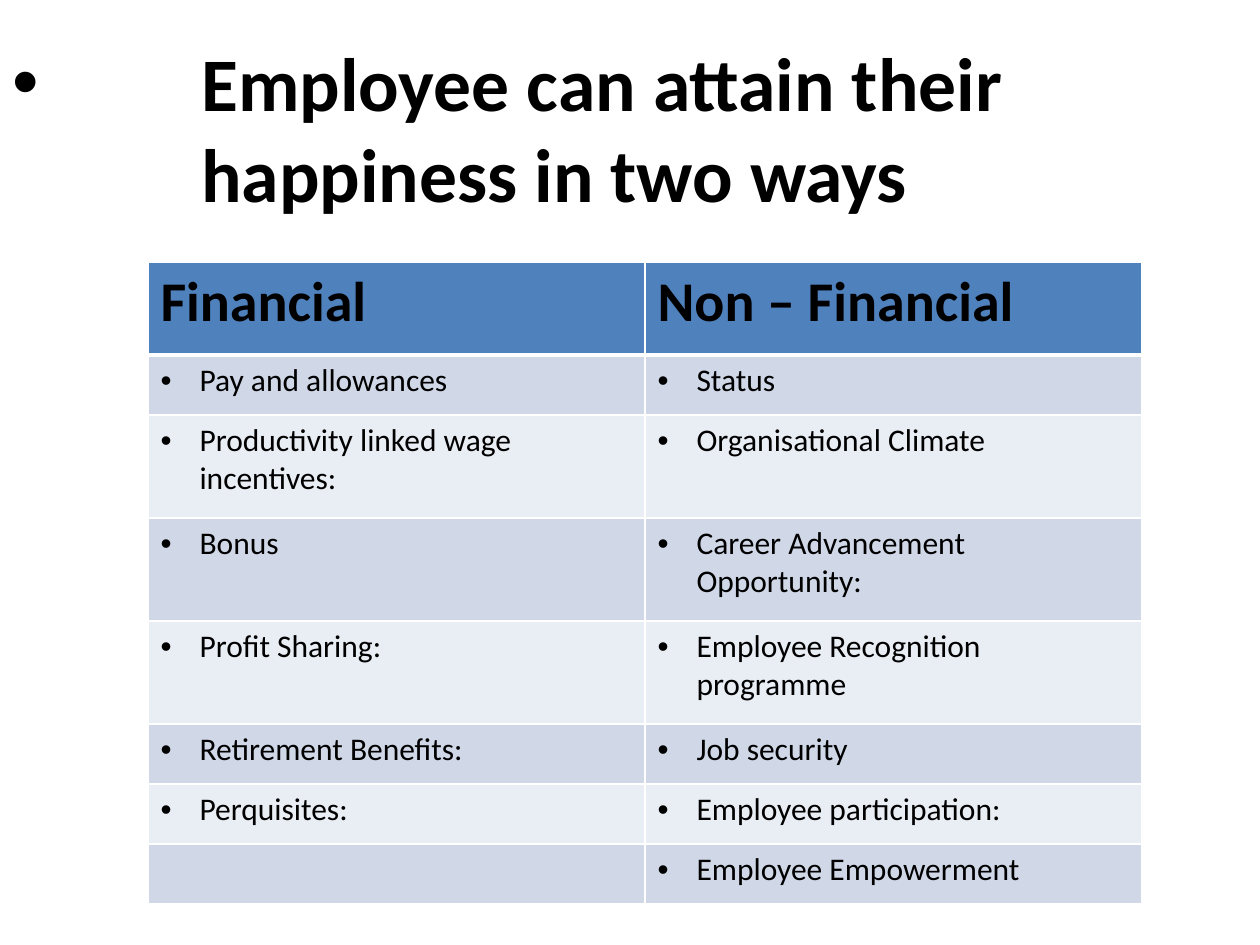
from lxml.etree import SubElement
from pptx import Presentation
from pptx.dml.color import RGBColor
from pptx.enum.text import MSO_ANCHOR
from pptx.oxml.ns import qn
from pptx.util import Pt

SCALE = 7257
HEADS = ("Financial", "Non – Financial")
ROWS = (
    ("Pay and allowances", "Status"),
    ("Productivity linked wage incentives:", "Organisational Climate"),
    ("Bonus", "Career Advancement Opportunity:"),
    ("Profit Sharing:", "Employee Recognition programme"),
    ("Retirement Benefits:", "Job security"),
    ("Perquisites:", "Employee participation:"),
    ("", "Employee Empowerment"),
)
HIGHS = (93, 60, 103, 103, 103, 60, 60, 60)


def px(*nums):
    """Turn pixels into EMU."""
    return [round(num * SCALE) for num in nums]


def color(code):
    """Turn a hex string into a colour."""
    return RGBColor.from_string(code)


def write(para, text, size, bold=False):
    """Add one black run to a paragraph."""
    run = para.add_run()
    run.text = text
    font = run.font
    font.name, font.size, font.bold = "Calibri", Pt(size), bold
    font.color.rgb = color("000000")


def bullet(para, wide):
    """Give a paragraph a round bullet with a hanging indent."""
    props = para._p.get_or_add_pPr()
    props.set("marL", str(px(wide)[0]))
    props.set("indent", str(px(-wide)[0]))
    tint = SubElement(props, qn("a:buClr"))
    SubElement(tint, qn("a:srgbClr"), val="000000")
    SubElement(props, qn("a:buFont"), typeface="Arial")
    SubElement(props, qn("a:buChar"), char="•")


def border(cell, base):
    """Draw white edges round a cell, the lower one base points wide."""
    props = cell._tc.get_or_add_tcPr()
    for side, wide in zip("LRTB", (1, 1, 1, base)):
        edge = SubElement(props, qn("a:ln" + side), w=str(Pt(wide)))
        fill = SubElement(edge, qn("a:solidFill"))
        SubElement(fill, qn("a:srgbClr"), val="FFFFFF")


def paint(cell, fill, base=1):
    """Set the borders and the fill of a cell."""
    border(cell, base)
    cell.fill.solid()
    cell.fill.fore_color.rgb = color(fill)


def title(slide, text):
    """Add the bulleted title."""
    frame = slide.shapes.add_textbox(*px(0, 21, 1187, 212)).text_frame
    frame.word_wrap = True
    frame.vertical_anchor = MSO_ANCHOR.MIDDLE
    para = frame.paragraphs[0]
    bullet(para, 189)
    write(para, text, 43.2, True)


def grid(slide):
    """Add the table of financial and other ways."""
    area = px(148, 262, 994, sum(HIGHS))
    table = slide.shapes.add_table(len(HIGHS), len(HEADS), *area).table
    for row, high in zip(table.rows, HIGHS):
        row.height = px(high)[0]
    for col, head in enumerate(HEADS):
        cell = table.cell(0, col)
        paint(cell, "4F81BD", 3)
        write(cell.text_frame.paragraphs[0], head, 32, True)
    for num, row in enumerate(ROWS, 1):
        for col, text in enumerate(row):
            cell = table.cell(num, col)
            paint(cell, "D0D8E8" if num % 2 else "E9EDF4")
            if text:
                para = cell.text_frame.paragraphs[0]
                bullet(para, 39)
                write(para, text, 18)


def main():
    """Build and save the slide."""
    deck = Presentation()
    deck.slide_width, deck.slide_height = px(1260, 945)
    slide = deck.slides.add_slide(deck.slide_layouts[6])
    title(slide, "Employee can attain their happiness in two ways")
    grid(slide)
    deck.save("out.pptx")


main()
